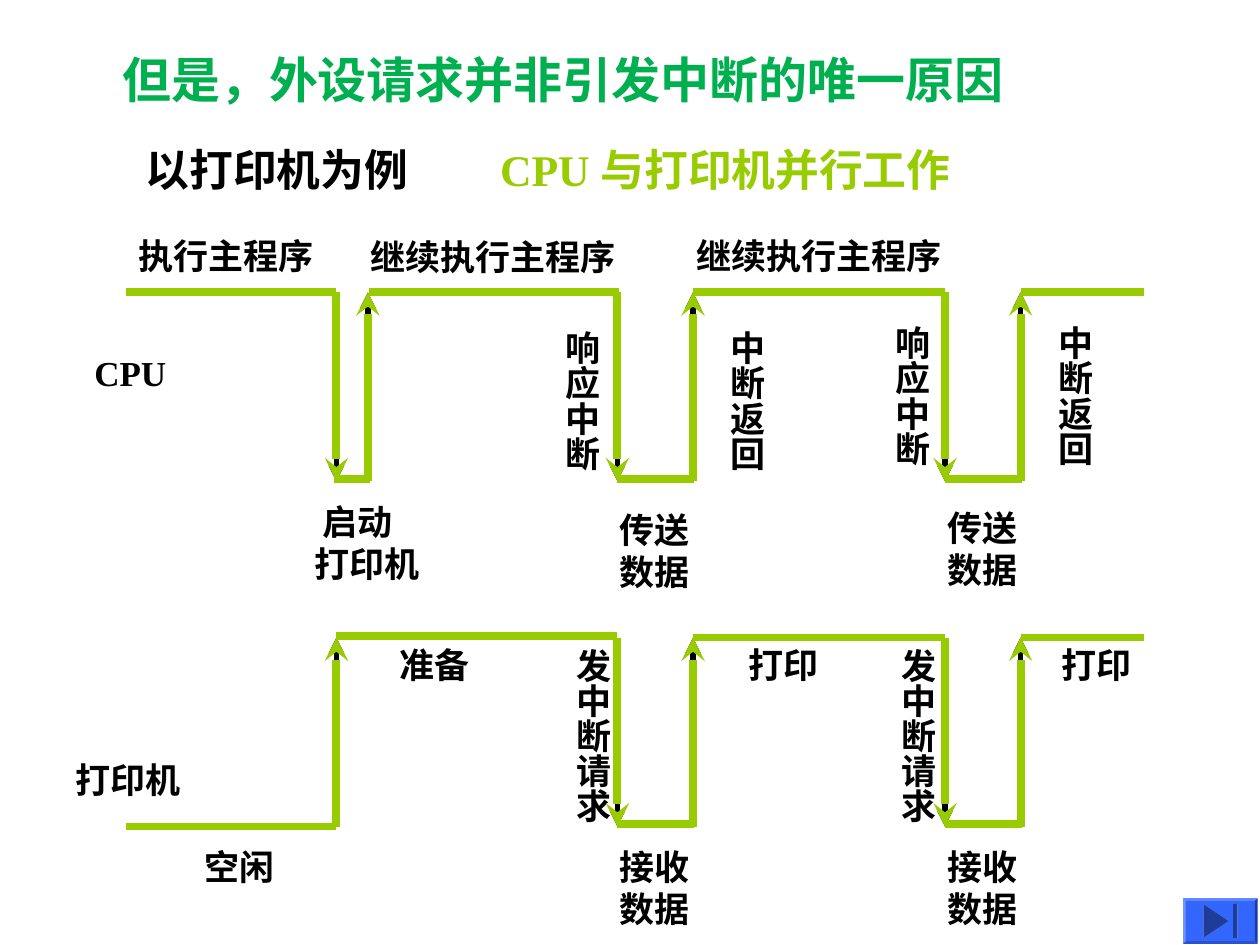
from lxml import etree
from pptx import Presentation
from pptx.dml.color import RGBColor
from pptx.enum.shapes import MSO_CONNECTOR, MSO_SHAPE
from pptx.enum.text import MSO_ANCHOR, MSO_AUTO_SIZE, PP_ALIGN
from pptx.oxml.ns import qn
from pptx.util import Emu, Pt

STRAIGHT = MSO_CONNECTOR.STRAIGHT
END_BUTTON = MSO_SHAPE.ACTION_BUTTON_END
JUSTIFY = PP_ALIGN.JUSTIFY
TOP = MSO_ANCHOR.TOP
FIT_SHAPE = MSO_AUTO_SIZE.SHAPE_TO_FIT_TEXT
NO_FIT = MSO_AUTO_SIZE.NONE

EMU_PER_PX = 9144  # 100 px to the inch
FONT = "Times New Roman"
COLORS = {
    "text": "000000",
    "signal": "99CC00",
    "title": "00B050",
    "button": "3366FF",
    "bevel_top": "5C85FF",
    "bevel_left": "7094FF",
    "bevel_right": "1F3D99",
    "bevel_bottom": "2952CC",
}

CPU_HIGH, PRINTER_HIGH = 232, 506
SWING = 150
SIGNAL_START, PRINTER_START = 100, 267
INTERRUPTS = (490, 750)
SERVICE_WIDTH = 60
SIGNAL_END = 908

# left, top, width, height, lines
LABELS = [
    (100, 181, 159, 44, "执行主程序"),
    (284, 182, 215, 44, "继续执行主程序"),
    (543, 181, 215, 44, "继续执行主程序"),
    (65, 274, 77, 44, "CPU"),
    (240, 392, 103, 77, " 启动\n打印机"),
    (482, 399, 75, 77, "传送\n数据"),
    (742, 397, 75, 77, "传送\n数据"),
    (50, 597, 103, 44, "打印机"),
    (146, 666, 83, 44, " 空闲"),
    (307, 506, 75, 44, "准备"),
    (584, 506, 75, 44, "打印"),
    (833, 506, 75, 44, "打印"),
    (482, 666, 75, 77, "接收\n数据"),
    (742, 666, 75, 77, "接收\n数据"),
]
VERTICAL_LABELS = [
    (430, 253, 53, 122, "响应中断"),
    (561, 253, 53, 122, "中断返回"),
    (692, 249, 53, 122, "响应中断"),
    (822, 249, 53, 122, "中断返回"),
    (439, 505, 53, 149, "发中断请求"),
    (697, 505, 53, 149, "发中断请求"),
]


def px(value):
    return Emu(value * EMU_PER_PX)


def rgb(name):
    return RGBColor.from_string(COLORS[name])


def style_paragraph(paragraph, size, color):
    font = paragraph.font
    font.name = FONT
    font.size = Pt(size)
    font.bold = True
    font.color.rgb = rgb(color)


def add_title(slide, text):
    title = slide.shapes.title
    title.left, title.top, title.width, title.height = map(px, (87, 34, 757, 57))
    frame = title.text_frame
    frame.text = text
    frame.word_wrap = True
    frame.auto_size = NO_FIT
    frame.vertical_anchor = TOP
    paragraph = frame.paragraphs[0]
    paragraph.alignment = JUSTIFY
    style_paragraph(paragraph, 28, "title")


def add_label(slide, left, top, width, height, text, size=20, color="text", vertical=False):
    box = slide.shapes.add_textbox(px(left), px(top), px(width), px(height))
    frame = box.text_frame
    frame.word_wrap = False
    frame.auto_size = FIT_SHAPE
    if vertical:
        frame.margin_bottom = 0
        frame._txBody.bodyPr.set("vert", "eaVert")
    else:
        frame.margin_right = 0
    frame.text = text
    for paragraph in frame.paragraphs:
        style_paragraph(paragraph, size, color)


def add_line(slide, start, end, color, width, arrow=False):
    connector = slide.shapes.add_connector(STRAIGHT, *map(px, start + end))
    connector.line.color.rgb = rgb(color)
    connector.line.width = Pt(width)
    if arrow:
        line = connector.line._get_or_add_ln()
        etree.SubElement(line, qn("a:tailEnd"), type="stealth")
    etree.SubElement(connector._element.spPr, qn("a:effectLst"))


def interrupt_segments(high):
    """Yield start, end and arrow flag for the part both signals share."""
    low = high + SWING
    next_falls = INTERRUPTS[1:] + (SIGNAL_END,)
    for fall, next_fall in zip(INTERRUPTS, next_falls):
        rise = fall + SERVICE_WIDTH
        yield (fall, high), (fall, low), True
        yield (rise, low), (rise, high), True
        yield (fall, low - 2), (rise + 1, low - 2), False
        yield (rise, high), (next_fall, high), False


def cpu_segments():
    high, low = CPU_HIGH, CPU_HIGH + SWING
    start, resume = PRINTER_START, 292
    yield (SIGNAL_START, high), (start, high), False
    yield (start, high), (start, low), True
    yield (resume, low), (resume, high), True
    yield (start - 2, low - 2), (resume + 2, low - 2), False
    yield (resume + 1, high), (INTERRUPTS[0] + 1, high), False
    yield from interrupt_segments(high)


def printer_segments():
    high, low = PRINTER_HIGH, PRINTER_HIGH + SWING
    start = PRINTER_START
    yield (SIGNAL_START, low), (start, low), False
    yield (start, low), (start, high), True
    yield (start, high - 1), (INTERRUPTS[0], high - 1), False
    yield from interrupt_segments(high)


def add_signals(slide, color, width):
    for segments in (cpu_segments(), printer_segments()):
        for start, end, arrow in segments:
            add_line(slide, start, end, color, width, arrow)


def fill_plain(shape, color):
    shape.shadow.inherit = False
    shape.fill.solid()
    shape.fill.fore_color.rgb = rgb(color)
    shape.line.fill.background()


def add_end_button(slide, left=939, top=713, width=59, height=36, bevel=2):
    button = slide.shapes.add_shape(END_BUTTON, px(left), px(top), px(width), px(height))
    fill_plain(button, "button")
    right, bottom = left + width, top + height
    outer = [(left, top), (right, top), (right, bottom), (left, bottom)]
    inner = [
        (left + bevel, top + bevel),
        (right - bevel, top + bevel),
        (right - bevel, bottom - bevel),
        (left + bevel, bottom - bevel),
    ]
    for index, side in enumerate(("top", "right", "bottom", "left")):
        following = (index + 1) % 4
        builder = slide.shapes.build_freeform(*outer[index], scale=EMU_PER_PX)
        builder.add_line_segments([outer[following], inner[following], inner[index]])
        fill_plain(builder.convert_to_shape(), f"bevel_{side}")


def main():
    presentation = Presentation()
    presentation.slide_width, presentation.slide_height = px(1000), px(750)
    slide = presentation.slides.add_slide(presentation.slide_layouts[5])

    add_title(slide, "但是，外设请求并非引发中断的唯一原因")
    add_label(slide, 106, 108, 228, 52, "以打印机为例", size=25)
    add_label(slide, 387, 108, 385, 52, "CPU 与打印机并行工作", size=25, color="signal")
    add_signals(slide, "text", 3)
    for label in LABELS:
        add_label(slide, *label)
    for label in VERTICAL_LABELS:
        add_label(slide, *label, vertical=True)
    add_signals(slide, "signal", 4.5)
    add_end_button(slide)
    presentation.save("out.pptx")


if __name__ == "__main__":
    main()
